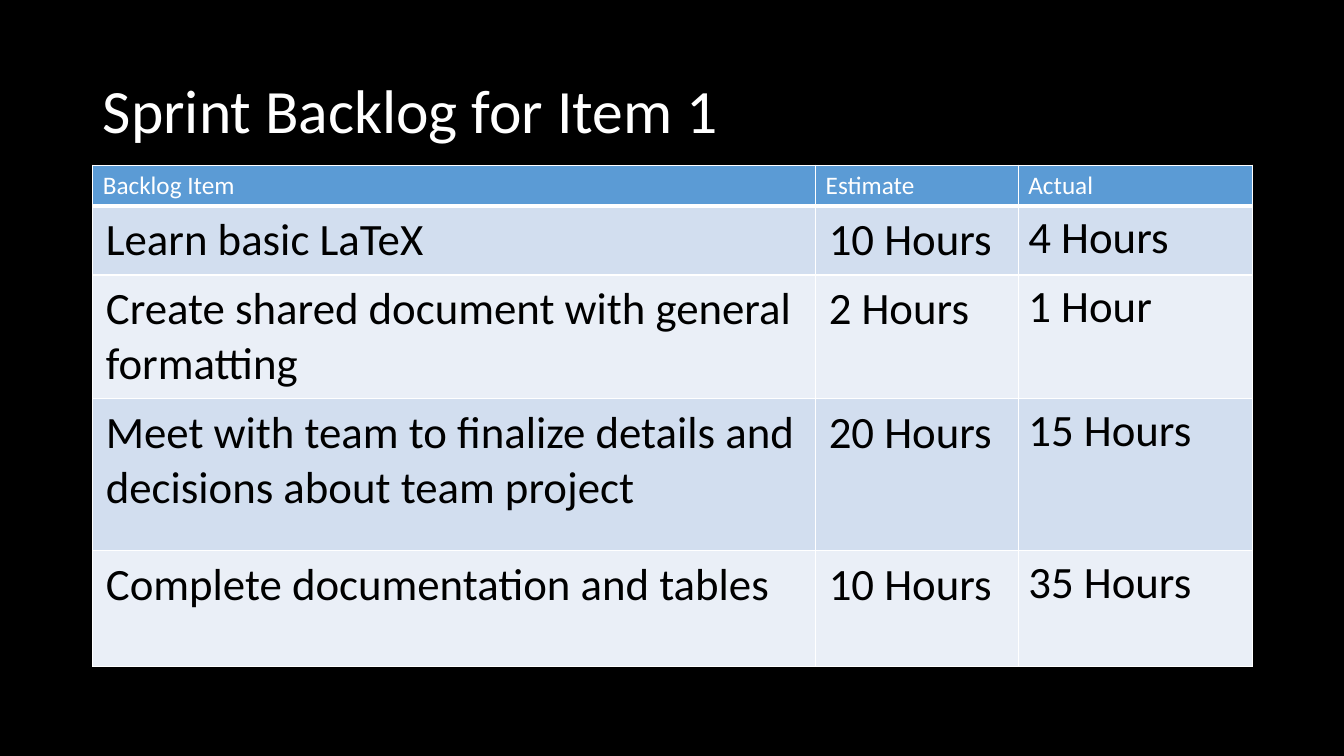
import lxml.etree
import pptx
import pptx.dml.color
import pptx.enum.text
import pptx.oxml.ns
import pptx.util

Inches, Pt = pptx.util.Inches, pptx.util.Pt
RGBColor = pptx.dml.color.RGBColor
qn = pptx.oxml.ns.qn

COLORS = {
    "background": "000000",
    "white": "FFFFFF",
    "body": "000000",
    "header": "5B9BD5",
    "odd": "D2DEEF",
    "even": "EAEFF7",
}
FONT = "Calibri"
LEFT, WIDTH = 0.92, 11.5
COLUMN_WIDTHS = [7.17, 2.01, 2.32]
ROW_HEIGHTS = [0.38, 0.63, 1.15, 1.51, 1.15]
BACKLOG = [
    ("Backlog Item", "Estimate", "Actual"),
    ("Learn basic LaTeX", "10 Hours", "4 Hours"),
    ("Create shared document with general formatting", "2 Hours", "1 Hour"),
    ("Meet with team to finalize details and decisions about team project", "20 Hours", "15 Hours"),
    ("Complete documentation and tables", "10 Hours", "35 Hours"),
]


def style_font(para, size, color):
    para.font.name = FONT
    para.font.size = Pt(size)
    para.font.bold = False
    para.font.color.rgb = RGBColor.from_string(COLORS[color])


def add_borders(cell, bottom_width):
    """Draw white cell borders; call before the fill is set, as the schema wants lines first."""
    properties = cell._tc.get_or_add_tcPr()
    for side, width in zip("LRTB", (1, 1, 1, bottom_width)):
        line = lxml.etree.SubElement(properties, qn(f"a:ln{side}"), w=str(Pt(width)))
        fill = lxml.etree.SubElement(line, qn("a:solidFill"))
        lxml.etree.SubElement(fill, qn("a:srgbClr"), val=COLORS["white"])


deck = pptx.Presentation()
deck.slide_width, deck.slide_height = Inches(13.33), Inches(7.5)
page = deck.slides.add_slide(deck.slide_layouts[5])
page.background.fill.solid()
page.background.fill.fore_color.rgb = RGBColor.from_string(COLORS["background"])

# Title
title = page.shapes.title
title.left, title.top, title.width, title.height = map(Inches, (LEFT, 0.4, WIDTH, 1.45))
title.text_frame.text = "Sprint Backlog for Item 1"
title.text_frame.auto_size = pptx.enum.text.MSO_AUTO_SIZE.NONE
title.text_frame.vertical_anchor = pptx.enum.text.MSO_ANCHOR.MIDDLE
para = title.text_frame.paragraphs[0]
para.alignment = pptx.enum.text.PP_ALIGN.LEFT
para.line_spacing = 0.9
style_font(para, 44, "white")

# Backlog table
table = page.shapes.add_table(
    len(BACKLOG), len(COLUMN_WIDTHS),
    Inches(LEFT), Inches(1.64), Inches(WIDTH), Inches(sum(ROW_HEIGHTS)),
).table
for column, width in zip(table.columns, COLUMN_WIDTHS):
    column.width = Inches(width)
for row, height in zip(table.rows, ROW_HEIGHTS):
    row.height = Inches(height)

for row_index, texts in enumerate(BACKLOG):
    is_header = row_index == 0
    fill_color = "header" if is_header else "odd" if row_index % 2 else "even"
    for column_index, text in enumerate(texts):
        cell = table.cell(row_index, column_index)
        cell.text = text
        style_font(cell.text_frame.paragraphs[0],
                   18 if is_header else 32, "white" if is_header else "body")
        if not is_header and column_index < 2:
            cell.margin_left = cell.margin_right = Inches(0.13)
            cell.margin_top = cell.margin_bottom = Inches(0.07)
        add_borders(cell, 3 if is_header else 1)
        cell.fill.solid()
        cell.fill.fore_color.rgb = RGBColor.from_string(COLORS[fill_color])

deck.save("out.pptx")
